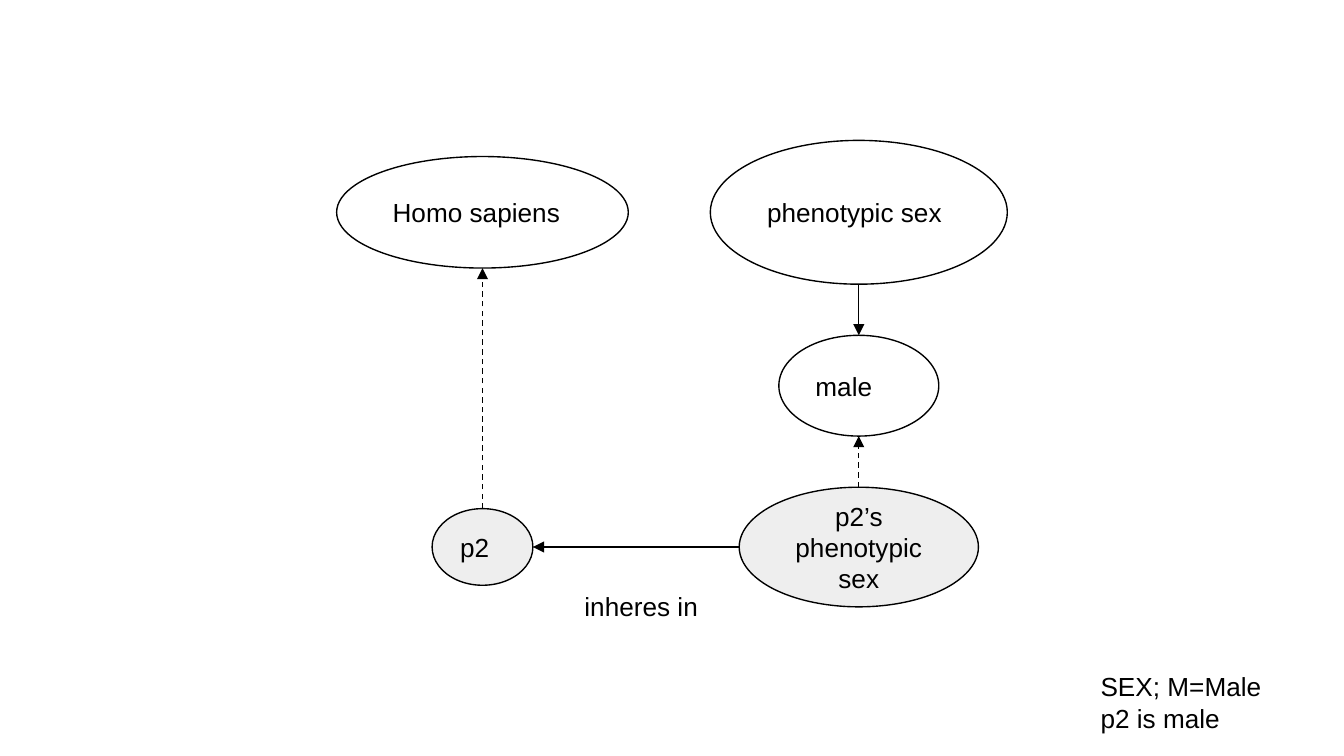
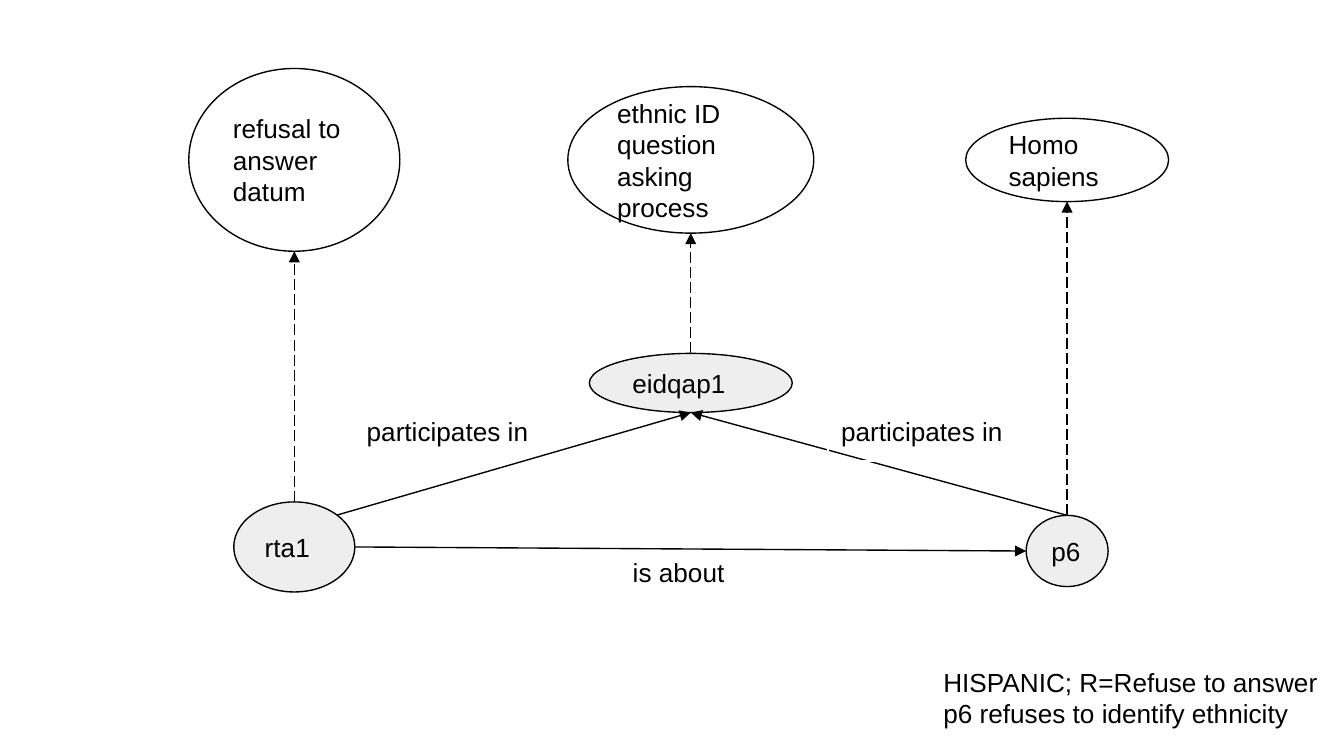
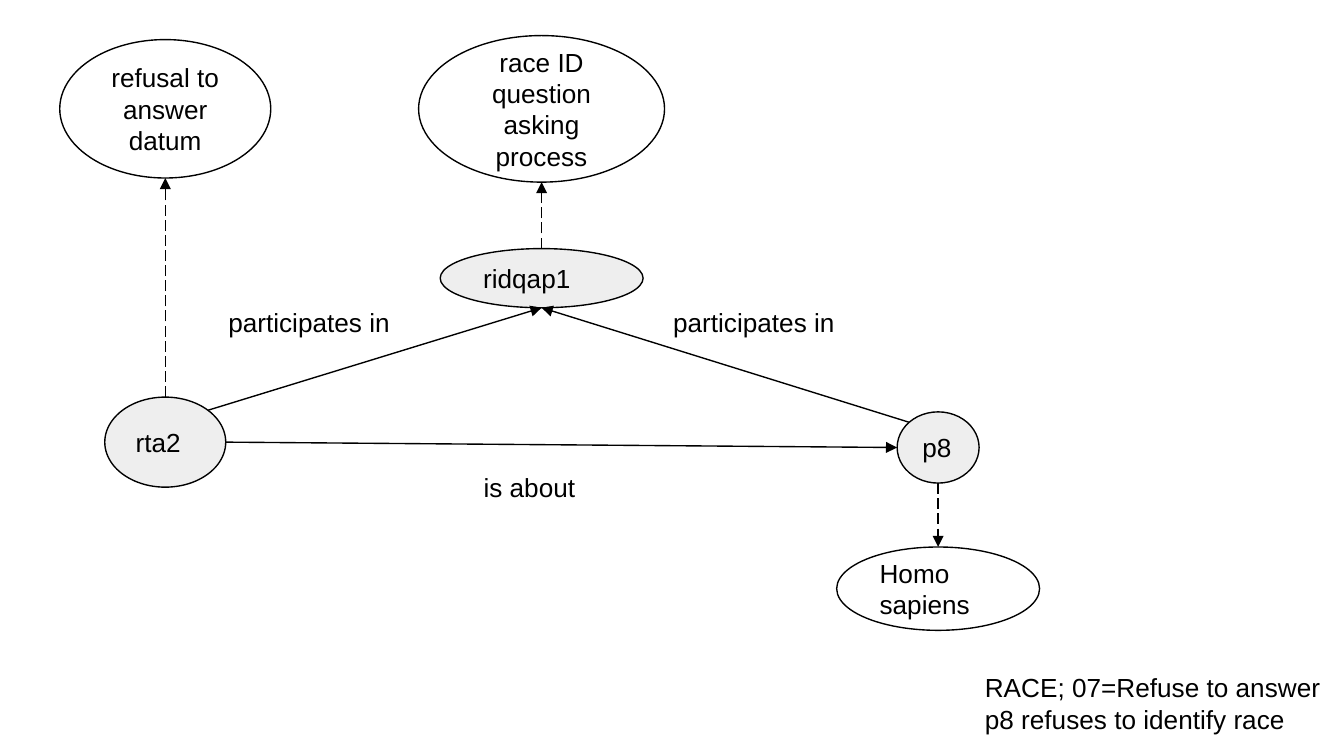
"""Build three ontology diagrams of sex, ethnicity and race answers."""
from lxml import etree
from pptx import Presentation
from pptx.dml.color import RGBColor
from pptx.enum.dml import MSO_LINE
from pptx.enum.shapes import MSO_CONNECTOR, MSO_SHAPE
from pptx.enum.text import MSO_ANCHOR, MSO_AUTO_SIZE, PP_ALIGN
from pptx.oxml.ns import qn
from pptx.util import Inches, Pt

BLACK = RGBColor(0x00, 0x00, 0x00)
WHITE = RGBColor(0xFF, 0xFF, 0xFF)
GREY = RGBColor(0xEE, 0xEE, 0xEE)
LEFT_ALIGN, CENTER_ALIGN = PP_ALIGN.LEFT, PP_ALIGN.CENTER
DASH, LONG_DASH = MSO_LINE.DASH, MSO_LINE.LONG_DASH
OVAL, STRAIGHT = MSO_SHAPE.OVAL, MSO_CONNECTOR.STRAIGHT
MIDDLE, TOP_ANCHOR = MSO_ANCHOR.MIDDLE, MSO_ANCHOR.TOP
FIT_SHAPE = MSO_AUTO_SIZE.SHAPE_TO_FIT_TEXT

CELL = Inches(0.1)
LINE_WIDTH = Pt(0.75)
FONT = {"name": "Arial", "size": Pt(14)}
INSET = Inches(0.1)
EVEN_MARGINS = {"margin_left": INSET, "margin_top": INSET,
                "margin_right": INSET, "margin_bottom": INSET}
NODE_FRAME = {**EVEN_MARGINS, "word_wrap": True, "vertical_anchor": MIDDLE}
LABEL_FRAME = {**EVEN_MARGINS, "word_wrap": True, "vertical_anchor": TOP_ANCHOR}
CAPTION_FRAME = {"word_wrap": False, "auto_size": FIT_SHAPE}

TOP, BOTTOM, LEFT, RIGHT = (0, -1), (0, 1), (-1, 0), (1, 0)
UPPER_LEFT, UPPER_RIGHT = (-0.71, -0.71), (0.71, -0.71)

# Nodes: centre column, centre row, columns, rows, fill, alignment.
# Labels and captions: left column, top row, columns, rows.
DIAGRAMS = [
    {
        "nodes": {
            "Homo sapiens": (35.9, 15.8, 21.7, 8.3, WHITE, LEFT_ALIGN),
            "p2": (35.9, 40.7, 7.5, 5.7, GREY, LEFT_ALIGN),
            "p2’s phenotypic sex": (63.9, 40.7, 17.8, 8.9, GREY, CENTER_ALIGN),
            "male": (63.9, 28.7, 11.9, 7.5, WHITE, LEFT_ALIGN),
            "phenotypic sex": (63.9, 15.8, 22.1, 10.7, WHITE, LEFT_ALIGN),
        },
        "relations": [
            ("p2", TOP, "Homo sapiens", BOTTOM, DASH),
            ("phenotypic sex", BOTTOM, "male", TOP, None),
            ("p2’s phenotypic sex", TOP, "male", BOTTOM, DASH),
            ("p2’s phenotypic sex", LEFT, "p2", RIGHT, None),
        ],
        "labels": [("inheres in", 42.5, 42.9, 11.8, 2.9, WHITE)],
        "caption": (["SEX; M=Male", "p2 is male"], 80.9, 49.4, 14.1, 5.7),
    },
    {
        "nodes": {
            "p6": (79.4, 41.0, 6.1, 5.3, GREY, LEFT_ALIGN),
            "rta1": (21.9, 40.7, 9.0, 6.7, GREY, LEFT_ALIGN),
            "Homo sapiens": (79.4, 11.9, 15.1, 6.2, None, LEFT_ALIGN),
            "refusal to answer datum": (21.9, 11.9, 15.7, 13.6, None, LEFT_ALIGN),
            "ethnic ID question asking process": (51.4, 11.9, 18.3, 10.9, None, LEFT_ALIGN),
            "eidqap1": (51.4, 28.5, 15.1, 4.4, GREY, LEFT_ALIGN),
        },
        "relations": [
            ("rta1", RIGHT, "p6", LEFT, None),
            ("p6", TOP, "Homo sapiens", BOTTOM, LONG_DASH),
            ("rta1", TOP, "refusal to answer datum", BOTTOM, LONG_DASH),
            ("rta1", UPPER_RIGHT, "eidqap1", BOTTOM, None),
            ("eidqap1", TOP, "ethnic ID question asking process", BOTTOM, LONG_DASH),
            ("p6", TOP, "eidqap1", BOTTOM, None),
        ],
        "labels": [
            ("is about", 46.1, 40.4, 10.6, 2.1, None),
            ("participates in", 26.3, 29.9, 15.1, 4.4, None),
            ("participates in", 61.6, 29.9, 15.1, 4.4, WHITE),
        ],
        "caption": (["HISPANIC; R=Refuse to answer", "p6 refuses to identify ethnicity"],
                    69.2, 49.1, 30.2, 5.7),
    },
    {
        "nodes": {
            "p8": (69.8, 33.3, 6.1, 5.3, GREY, LEFT_ALIGN),
            "rta2": (12.3, 32.9, 9.0, 6.7, GREY, LEFT_ALIGN),
            "Homo sapiens": (69.8, 43.8, 15.1, 6.2, None, LEFT_ALIGN),
            "refusal to answer datum": (12.3, 8.1, 15.7, 10.3, None, CENTER_ALIGN),
            "race ID question asking process": (40.3, 8.1, 18.3, 10.9, None, CENTER_ALIGN),
            "ridqap1": (40.3, 20.7, 15.1, 4.4, GREY, LEFT_ALIGN),
        },
        "relations": [
            ("rta2", RIGHT, "p8", LEFT, None),
            ("p8", BOTTOM, "Homo sapiens", TOP, LONG_DASH),
            ("rta2", TOP, "refusal to answer datum", BOTTOM, LONG_DASH),
            ("rta2", UPPER_RIGHT, "ridqap1", BOTTOM, None),
            ("ridqap1", TOP, "race ID question asking process", BOTTOM, LONG_DASH),
            ("p8", UPPER_LEFT, "ridqap1", BOTTOM, None),
        ],
        "labels": [
            ("is about", 35.0, 34.1, 10.6, 2.1, None),
            ("participates in", 16.0, 21.8, 15.1, 4.4, None),
            ("participates in", 49.1, 21.8, 15.1, 4.4, None),
        ],
        "caption": (["RACE; 07=Refuse to answer", "p8 refuses to identify race"],
                    72.3, 49.5, 27.7, 5.7),
    },
]


def cells(*counts):
    """Turn grid counts into lengths."""
    return [round(count * CELL) for count in counts]


def write(frame, lines, frame_format, alignment=LEFT_ALIGN):
    """Fill a text frame with one paragraph per line."""
    for attribute, value in frame_format.items():
        setattr(frame, attribute, value)
    frame.text = "\n".join(lines)
    for paragraph in frame.paragraphs:
        paragraph.alignment = alignment
        for run in paragraph.runs:
            for attribute, value in FONT.items():
                setattr(run.font, attribute, value)
            run.font.color.rgb = BLACK


deck = Presentation()
deck.slide_width = 100 * CELL
deck.slide_height = deck.slide_width * 9 // 16
blank = deck.slide_layouts[6]

for diagram in DIAGRAMS:
    slide = deck.slides.add_slide(blank)
    nodes = diagram["nodes"]

    for term, (column, row, columns, rows, fill, alignment) in nodes.items():
        node = slide.shapes.add_shape(
            OVAL, *cells(column - columns / 2, row - rows / 2, columns, rows))
        node.shadow.inherit = False
        if fill is None:
            node.fill.background()
        else:
            node.fill.solid()
            node.fill.fore_color.rgb = fill
        node.line.color.rgb = BLACK
        node.line.width = LINE_WIDTH
        write(node.text_frame, [term], NODE_FRAME, alignment)

    for subject, subject_side, target, target_side, dash in diagram["relations"]:
        ends = []
        for term, (across, down) in ((subject, subject_side), (target, target_side)):
            column, row, columns, rows = nodes[term][:4]
            ends += cells(column + across * columns / 2, row + down * rows / 2)
        relation = slide.shapes.add_connector(STRAIGHT, *ends)
        relation.line.color.rgb = BLACK
        relation.line.width = LINE_WIDTH
        relation.line.dash_style = dash
        properties = relation._element.spPr
        etree.SubElement(properties.find(qn("a:ln")), qn("a:tailEnd"), type="triangle")
        etree.SubElement(properties, qn("a:effectLst"))

    for wording, column, row, columns, rows, border in diagram["labels"]:
        label = slide.shapes.add_textbox(*cells(column, row, columns, rows))
        if border is not None:
            label.line.color.rgb = border
            label.line.width = LINE_WIDTH
        write(label.text_frame, [wording], LABEL_FRAME)

    lines, *place = diagram["caption"]
    caption = slide.shapes.add_textbox(*cells(*place))
    write(caption.text_frame, lines, CAPTION_FRAME)

deck.save("out.pptx")
